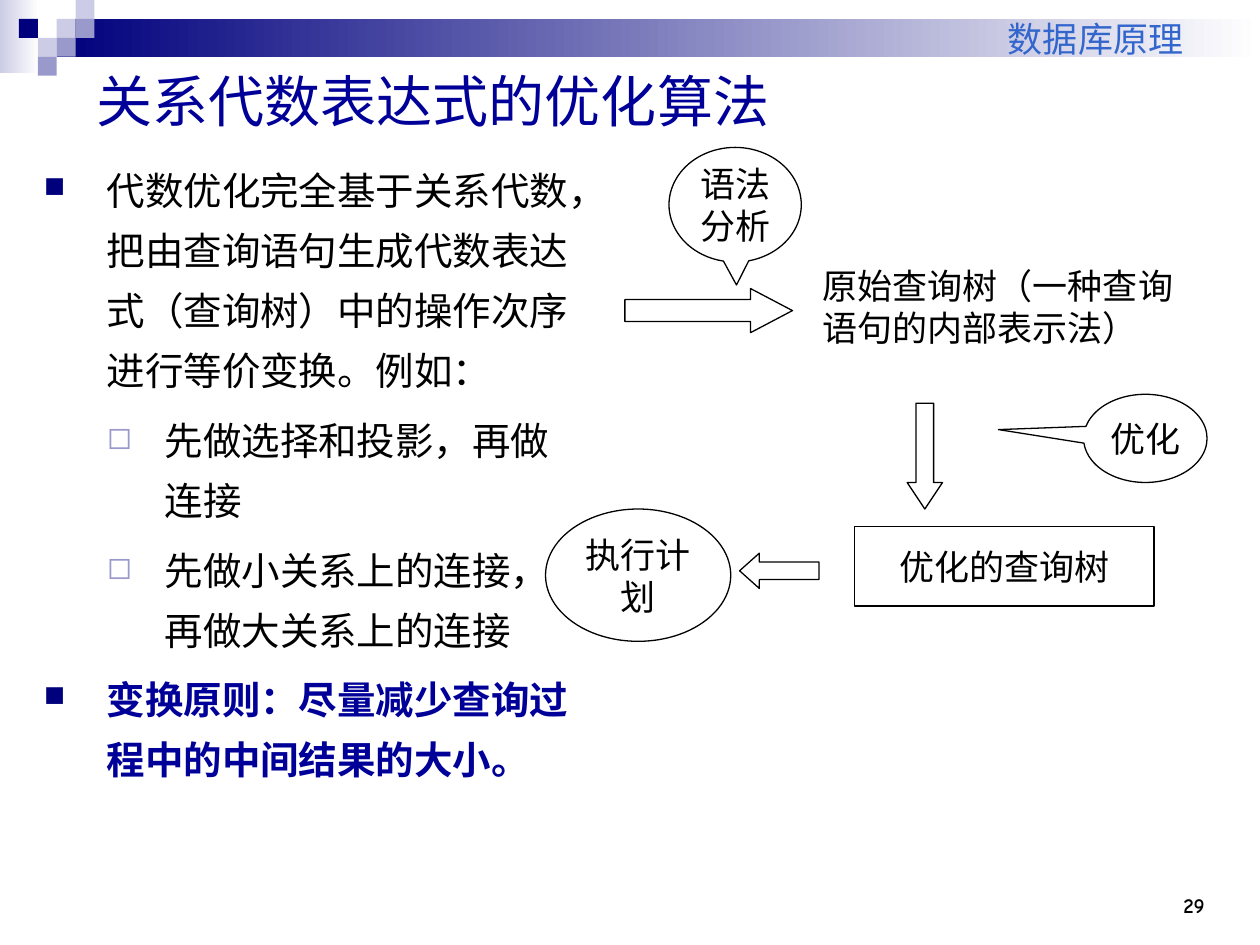
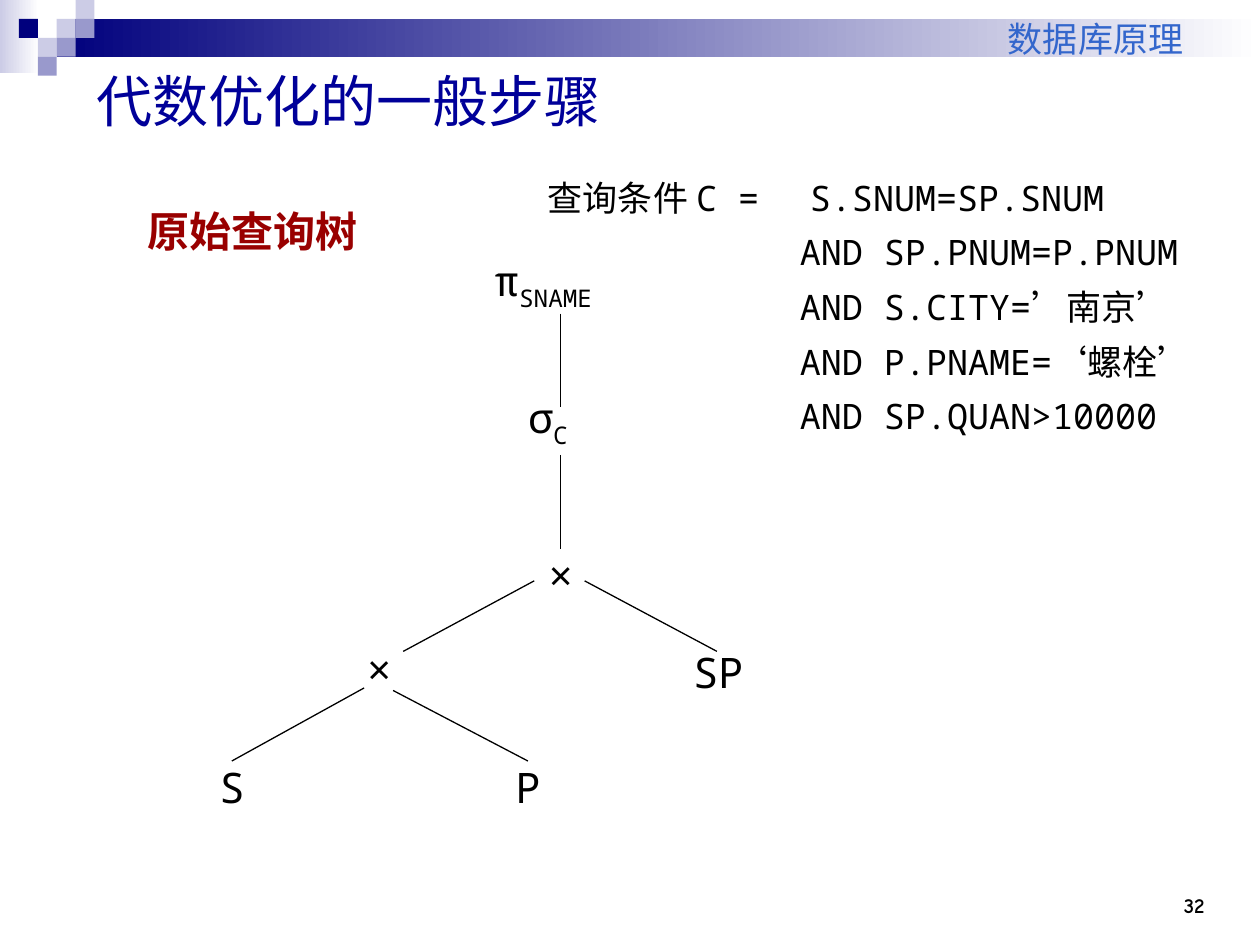
"""Build two slides on optimising relational algebra queries."""
from lxml.etree import SubElement
from pptx import Presentation
from pptx.dml.color import RGBColor as Rgb
from pptx.enum.shapes import MSO_CONNECTOR as Link, MSO_SHAPE as Kind
from pptx.enum.text import MSO_ANCHOR as Anchor, PP_ALIGN as Align
from pptx.oxml.ns import qn
from pptx.util import Inches, Pt

HUES = {"ink": "000000", "navy": "00007D", "title": "000099", "head": "3366CC",
        "pale": "CCCCE6", "lilac": "9999CC", "white": "FFFFFF", "red": "990000"}
COMIC, MONO, TIMES, HAN = "Comic Neue", "Noto Sans Mono", "Times New Roman", "Noto Sans CJK SC"
INSET = (0.1, 0.05, 0.1, 0.05)
FLUSH = (0, 0, 0, 0)
CELL = 0.15
SQUARES = [(3, 1, "pale"), (4, 0, "pale"), (4, 1, "lilac"), (2, 2, "pale"),
           (1, 1, "navy"), (3, 2, "lilac"), (2, 3, "lilac")]


def hue(name):
    return Rgb.from_string(HUES[name])


def add_run(para, text, size, face, color="ink", bold=False, base=0):
    run = para.add_run()
    run.text = text
    font = run.font
    font.size, font.bold, font.name = Pt(size), bold, face
    font.color.rgb = hue(color)
    props = run._r.get_or_add_rPr()
    SubElement(props, qn("a:ea")).set("typeface", HAN)
    if base:
        props.set("baseline", str(base * 1000))


def set_frame(frame, inset, anchor, wrap=True):
    frame.word_wrap = wrap
    frame.vertical_anchor = anchor
    (frame.margin_left, frame.margin_top,
     frame.margin_right, frame.margin_bottom) = map(Inches, inset)


def add_paras(frame, count, align=None, space=None):
    paras = [frame.paragraphs[0]] + [frame.add_paragraph() for _ in range(count - 1)]
    for para in paras:
        para.alignment, para.line_spacing = align, space
    return paras


def add_box(slide, at, inset=INSET, anchor=Anchor.TOP, wrap=True):
    box = slide.shapes.add_textbox(*map(Inches, at))
    set_frame(box.text_frame, inset, anchor, wrap)
    return box


def add_text(slide, at, lines, size, face, color="ink", bold=False, align=None, **look):
    box = add_box(slide, at, **look)
    for para, line in zip(add_paras(box.text_frame, len(lines), align), lines):
        add_run(para, line, size, face, color, bold)
    return box


def add_block(slide, at, *fill):
    block = slide.shapes.add_shape(Kind.RECTANGLE, *map(Inches, at))
    block.shadow.inherit = False
    block.line.fill.background()
    if len(fill) == 1:
        block.fill.solid()
        block.fill.fore_color.rgb = hue(fill[0])
    else:
        block.fill.gradient()
        block.fill.gradient_angle = 0
        for stop, name, place in zip(block.fill.gradient_stops, fill, (0, 1)):
            stop.color.rgb, stop.position = hue(name), place


def add_node(slide, kind, at, text="", adjust=()):
    node = slide.shapes.add_shape(kind, *map(Inches, at))
    node.shadow.inherit = False
    node.fill.background()
    node.line.color.rgb, node.line.width = hue("ink"), Pt(0.75)
    for i, value in enumerate(adjust):
        node.adjustments[i] = value
    if text:
        set_frame(node.text_frame, FLUSH, Anchor.MIDDLE)
        add_run(add_paras(node.text_frame, 1, Align.CENTER)[0], text, 20, TIMES)


def add_line(slide, start, end, target=None):
    line = slide.shapes.add_connector(Link.STRAIGHT, *map(Inches, start + end))
    line.line.color.rgb, line.line.width = hue("ink"), Pt(0.75)
    SubElement(line._element.spPr, qn("a:effectLst"))
    if target is not None:
        line.end_connect(target, 0)


def set_bullet(para, level):
    left, hang, color, size, mark = [(0.5, 0.5, "navy", 75, "■"),
                                     (0.96, 0.46, "lilac", 80, "◻")][level]
    para.level = level
    props = para._p.get_or_add_pPr()
    props.set("marL", str(Inches(left)))
    props.set("indent", str(-Inches(hang)))
    SubElement(SubElement(props, qn("a:buClr")), qn("a:srgbClr")).set("val", HUES[color])
    SubElement(props, qn("a:buSzPct")).set("val", str(size * 1000))
    SubElement(props, qn("a:buChar")).set("char", mark)


def add_list(slide, at, items):
    frame = add_box(slide, at).text_frame
    for i, (para, item) in enumerate(zip(add_paras(frame, len(items), space=1.3), items)):
        level, text, color, bold = item
        para.space_before = Pt(5.5 if i else 0)
        set_bullet(para, level)
        add_run(para, text, 22, MONO, color, bold)


def add_terms(slide, at, lead, first, rest):
    frame = add_box(slide, at).text_frame
    head, *tail = add_paras(frame, len(rest) + 1, space=1.3)
    tabs = SubElement(head._p.get_or_add_pPr(), qn("a:tabLst"))
    SubElement(tabs, qn("a:tab"), pos=str(Inches(2.08)), algn="l")
    add_run(head, f"{lead}\t{first}", 20, MONO)
    for para, text in zip(tail, rest):
        props = para._p.get_or_add_pPr()
        props.set("marL", str(Inches(2)))
        props.set("indent", "0")
        add_run(para, text, 20, MONO)


def add_leaf(slide, at, text, sub="", align=Align.CENTER):
    box = add_box(slide, at, FLUSH)
    para = add_paras(box.text_frame, 1, align)[0]
    add_run(para, text, 24, MONO)
    if sub:
        add_run(para, sub, 24, MONO, base=-25)
    return box


def add_page(deck, title, number):
    slide = deck.slides.add_slide(deck.slide_layouts[6])
    slide.background.fill.solid()
    slide.background.fill.fore_color.rgb = hue("white")
    add_block(slide, (0, 0, 0.31, 0.58), "pale", "white")
    add_block(slide, (0.45, 0.15, 9.55, 0.3), "navy", "white")
    for col, row, color in SQUARES:
        add_block(slide, (col * CELL, row * CELL, CELL, CELL), color)
    add_text(slide, (8.83, 6.83, 0.83, 0.5), [number], 12, COMIC, bold=True,
             align=Align.RIGHT, anchor=Anchor.BOTTOM)
    add_text(slide, (3.83, 0, 5.66, 0.52), ["数据库原理"], 20, COMIC, "head",
             align=Align.RIGHT, anchor=Anchor.BOTTOM)
    add_text(slide, (0.67, 0.42, 9, 0.75), [title], 32, COMIC, "title",
             anchor=Anchor.MIDDLE)
    return slide


def draw_flow(deck):
    slide = add_page(deck, "关系代数表达式的优化算法", "29")
    add_list(slide, (0.25, 1.17, 4.5, 5.83), [
        (0, "代数优化完全基于关系代数，把由查询语句生成代数表达式（查询树）"
            "中的操作次序进行等价变换。例如：", "ink", False),
        (1, "先做选择和投影，再做连接", "ink", False),
        (1, "先做小关系上的连接，再做大关系上的连接", "ink", False),
        (0, "变换原则：尽量减少查询过程中的中间结果的大小。", "title", True)])
    add_text(slide, (6.43, 1.94, 3.01, 0.98), ["原始查询树（一种查询", "语句的内部表示法）"],
             20, TIMES, align=Align.JUSTIFY, anchor=Anchor.MIDDLE)
    for node in [
            (Kind.RIGHT_ARROW, (4.96, 2.29, 1.33, 0.35), "", (0.5, 0.95)),
            (Kind.OVAL_CALLOUT, (5.31, 1.17, 1.05, 0.91), "语法分析", (0.01, 0.7)),
            (Kind.DOWN_ARROW, (7.2, 3.2, 0.28, 0.84), "", (0.5, 0.75)),
            (Kind.RECTANGLE, (6.78, 4.18, 2.38, 0.63), "优化的查询树"),
            (Kind.OVAL_CALLOUT, (8.6, 3.13, 0.98, 0.7), "优化", (-1.19, -0.1)),
            (Kind.LEFT_ARROW, (5.87, 4.39, 0.63, 0.28), "", (0.5, 0.56)),
            (Kind.OVAL, (4.33, 4.04, 1.47, 1.05), "执行计划")]:
        add_node(slide, *node)


def draw_tree(deck):
    slide = add_page(deck, "代数优化的一般步骤", "32")
    add_leaf(slide, (3.92, 2.02, 1.83, 0.38), "π", "SNAME", Align.JUSTIFY)
    add_leaf(slide, (4.19, 3.11, 0.78, 0.37), "σ", "C", Align.JUSTIFY)
    add_leaf(slide, (5.5, 5.13, 0.52, 0.37), "SP", align=Align.JUSTIFY)
    left, right, top, _ = [
        add_leaf(slide, (x, y, 0.52, 0.37), text) for x, y, text in
        [(1.58, 6.04, "S"), (3.93, 6.04, "P"), (4.19, 4.36, "×"), (2.75, 5.11, "×")]]
    for line in [((4.45, 2.49), (4.45, 3.23)),
                 ((4.45, 3.61), (4.45, 4.36), top),
                 ((4.24, 4.61), (3.2, 5.17)),
                 ((4.64, 4.61), (5.69, 5.17)),
                 ((2.89, 5.46), (1.84, 6.04), left),
                 ((3.12, 5.48), (4.19, 6.04), right)]:
        add_line(slide, *line)
    add_terms(slide, (4.25, 1.25, 5.42, 2.42), "查询条件 C =", "S.SNUM=SP.SNUM", [
        "AND SP.PNUM=P.PNUM", "AND S.CITY=’南京’",
        "AND P.PNAME=‘螺栓’", "AND SP.QUAN>10000"])
    add_text(slide, (1.17, 1.58, 1.67, 0.5), ["原始查询树"], 24, HAN, "red", True,
             Align.CENTER, inset=(0, 0.05, 0, 0.05), wrap=False)


def main():
    deck = Presentation()
    deck.slide_width, deck.slide_height = Inches(10), Inches(7.5)
    draw_flow(deck)
    draw_tree(deck)
    deck.save("out.pptx")


if __name__ == "__main__":
    main()
